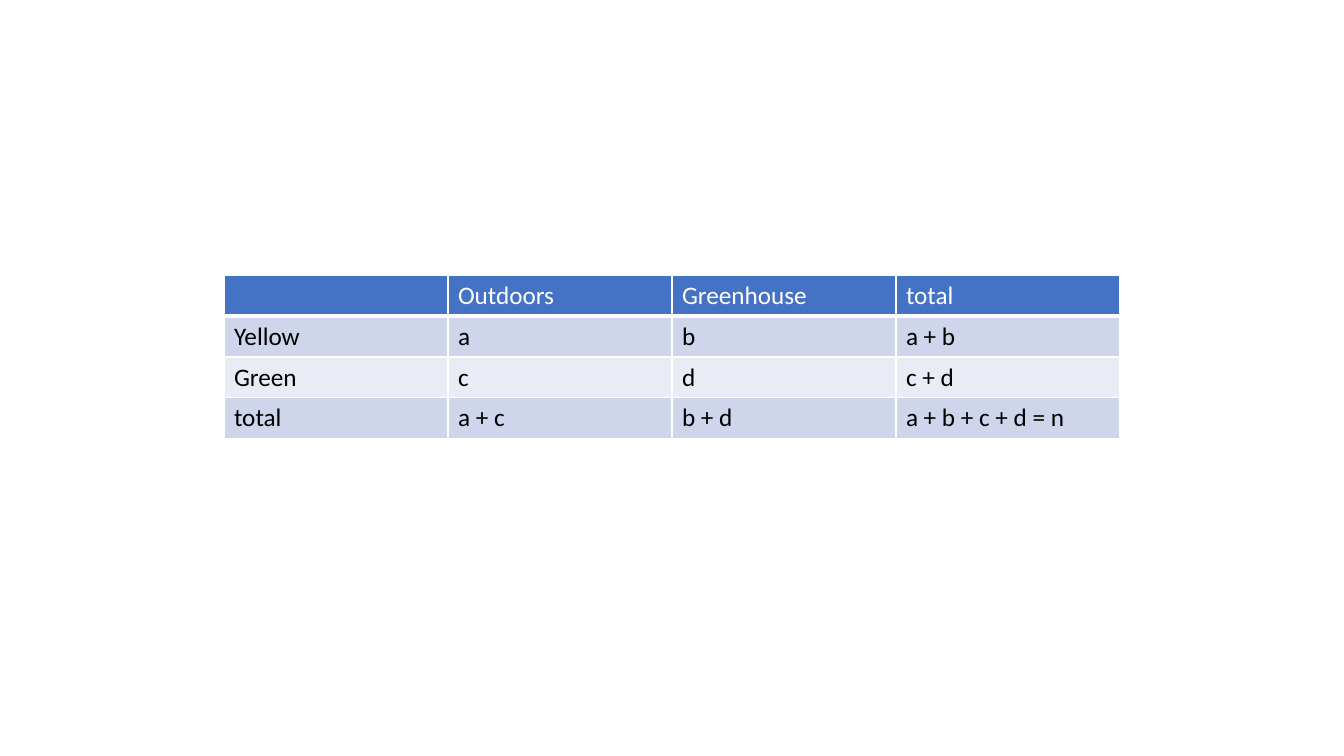
from lxml.etree import SubElement
from pptx import Presentation
from pptx.dml.color import RGBColor as Color
from pptx.oxml.ns import qn
from pptx.util import Pt

COLORS = {
    "header": "4472C4",
    "band_dark": "CFD5EA",
    "band_light": "E9EBF5",
    "white": "FFFFFF",
    "black": "000000",
}
FONT = "Calibri"
ROWS = [
    ["", "Outdoors", "Greenhouse", "total"],
    ["Yellow", "a", "b", "a + b"],
    ["Green", "c", "d", "c + d"],
    ["total", "a + c", "b + d", "a + b + c + d = n"],
]
LEFT, TOP = 160, 196.6
COLUMN_WIDTH, ROW_HEIGHT = 160, 29.2


def color(name):
    return Color.from_string(COLORS[name])


def add_borders(cell, bottom_width):
    """Draw white lines on all four sides of a cell."""
    properties = cell._tc.get_or_add_tcPr()
    widths = {"lnL": 1, "lnR": 1, "lnT": 1, "lnB": bottom_width}
    for side, width in widths.items():
        line = SubElement(properties, qn(f"a:{side}"), w=str(Pt(width)))
        fill = SubElement(line, qn("a:solidFill"))
        SubElement(fill, qn("a:srgbClr"), val=COLORS["white"])


def format_cell(cell, text, fill, text_color, bottom_width):
    # Borders come before the fill in the cell's XML
    add_borders(cell, bottom_width)
    cell.fill.solid()
    cell.fill.fore_color.rgb = color(fill)
    cell.text = text
    font = cell.text_frame.paragraphs[0].font
    font.name, font.size, font.bold = FONT, Pt(18), False
    font.color.rgb = color(text_color)


def add_count_table(page):
    row_count, column_count = len(ROWS), len(ROWS[0])
    table = page.shapes.add_table(
        row_count, column_count, Pt(LEFT), Pt(TOP),
        Pt(COLUMN_WIDTH * column_count), Pt(ROW_HEIGHT * row_count)).table
    for column in table.columns:
        column.width = Pt(COLUMN_WIDTH)

    # Header row, then alternating bands
    for i, texts in enumerate(ROWS):
        table.rows[i].height = Pt(ROW_HEIGHT)
        if i == 0:
            style = ("header", "white", 3)
        else:
            style = ("band_dark" if i % 2 else "band_light", "black", 1)
        for j, text in enumerate(texts):
            format_cell(table.cell(i, j), text, *style)


def main():
    deck = Presentation()
    deck.slide_width, deck.slide_height = Pt(960), Pt(540)
    page = deck.slides.add_slide(deck.slide_layouts[6])
    add_count_table(page)
    deck.save("out.pptx")


main()
